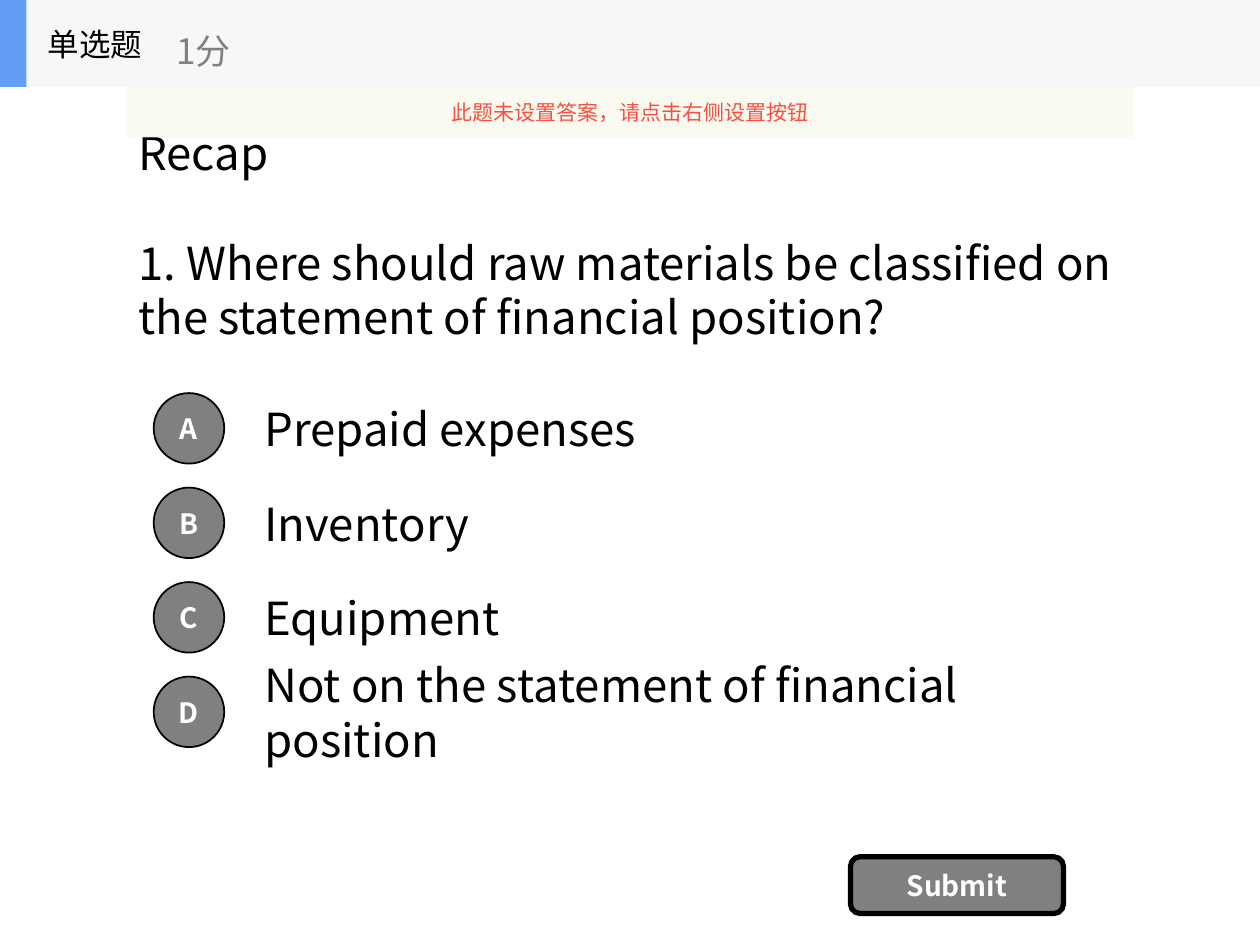
from pptx import Presentation
from pptx.dml.color import RGBColor
from pptx.enum.shapes import MSO_SHAPE
from pptx.enum.text import MSO_ANCHOR, PP_ALIGN
from pptx.oxml.ns import qn
from pptx.util import Inches, Pt
from lxml import etree

RECT, OVAL, ROUND = MSO_SHAPE.RECTANGLE, MSO_SHAPE.OVAL, MSO_SHAPE.ROUNDED_RECTANGLE
LEFT, CENTER = PP_ALIGN.LEFT, PP_ALIGN.CENTER
MIDDLE = MSO_ANCHOR.MIDDLE

BLACK = RGBColor(0x00, 0x00, 0x00)
WHITE = RGBColor(0xFF, 0xFF, 0xFF)
GRAY = RGBColor(0x80, 0x80, 0x80)
PALE = RGBColor(0xF6, 0xF7, 0xF8)
BLUE = RGBColor(0x63, 0x9E, 0xF4)
CREAM = RGBColor(0xFB, 0xFA, 0xEF)
RED = RGBColor(0xF8, 0x4F, 0x41)

FONT = "Noto Sans CJK SC"
WIDE, HIGH = 10, 7.5
MARGIN = WIDE / 10
BODY = WIDE - 2 * MARGIN
HEAD = 0.69
TOP, STEP, ROW = 3.05, 0.75, 0.7
DISC = 0.56
CHOICES = [
    "Prepaid expenses",
    "Inventory",
    "Equipment",
    "Not on the statement of financial position",
]


def write(shape, text, size, color, align=LEFT, bold=False, wrap=True):
    frame = shape.text_frame
    frame.text = text
    frame.word_wrap = wrap
    frame.vertical_anchor = MIDDLE
    for para in frame.paragraphs:
        para.alignment = align
        for run in para.runs:
            font = run.font
            font.name, font.size, font.bold = FONT, Pt(size), bold
            font.color.rgb = color
            # Chinese glyphs take the East Asian typeface
            east = etree.SubElement(run._r.get_or_add_rPr(), qn("a:ea"))
            east.set("typeface", FONT)


def add_text(shapes, box, text, size, color):
    label = shapes.add_textbox(*map(Inches, box))
    write(label, text, size, color)
    return label


def add_block(shapes, kind, box, fill, line=0):
    block = shapes.add_shape(kind, *map(Inches, box))
    block.shadow.inherit = False
    block.fill.solid()
    block.fill.fore_color.rgb = fill
    if line:
        block.line.color.rgb = BLACK
        block.line.width = Pt(line)
    else:
        block.line.fill.background()
    return block


def add_button(shapes, kind, box, text, line):
    button = add_block(shapes, kind, box, GRAY, line)
    write(button, text, 16, WHITE, CENTER, bold=True, wrap=False)


def add_header(shapes):
    group = shapes.add_group_shape().shapes
    add_block(group, RECT, (0, 0, WIDE, HEAD), PALE)
    add_block(group, RECT, (0, 0, 0.21, HEAD), BLUE)
    add_text(group, (0.28, 0, 2.08, HEAD), "单选题", 18, BLACK)
    add_text(group, (1.3, 0.12, 2.5, 0.56), "1分", 20, GRAY)


def add_notice(shapes):
    notice = add_block(shapes, RECT, (MARGIN, HEAD, BODY, 0.4), CREAM)
    color = notice.fill._xPr.find(".//" + qn("a:srgbClr"))
    etree.SubElement(color, qn("a:alpha")).set("val", "90000")
    write(notice, "此题未设置答案，请点击右侧设置按钮", 12, RED, CENTER, wrap=False)


def main():
    deck = Presentation()
    deck.slide_width, deck.slide_height = Inches(WIDE), Inches(HIGH)
    shapes = deck.slides.add_slide(deck.slide_layouts[6]).shapes

    # Question, with a line's gap under its heading
    ask = add_text(
        shapes, (MARGIN, HEAD, BODY, 2.34),
        "Recap\n1. Where should raw materials be classified on "
        "the statement of financial position?", 26, BLACK)
    ask.text_frame.paragraphs[1].space_before = Pt(31.5)

    # Choices and their lettered discs
    for i, choice in enumerate(CHOICES):
        y = TOP + i * STEP
        add_text(shapes, (2 * MARGIN, y, 7, ROW), choice, 26, BLACK)
        disc = (1.22, y + (ROW - DISC) / 2, DISC, DISC)
        add_button(shapes, OVAL, disc, "ABCD"[i], 1)

    # Submit button
    add_button(shapes, ROUND, (6.75, 6.8, 1.69, 0.45), "Submit", 3)

    # Header bar and notice
    add_header(shapes)
    add_notice(shapes)

    deck.save("out.pptx")


if __name__ == "__main__":
    main()
